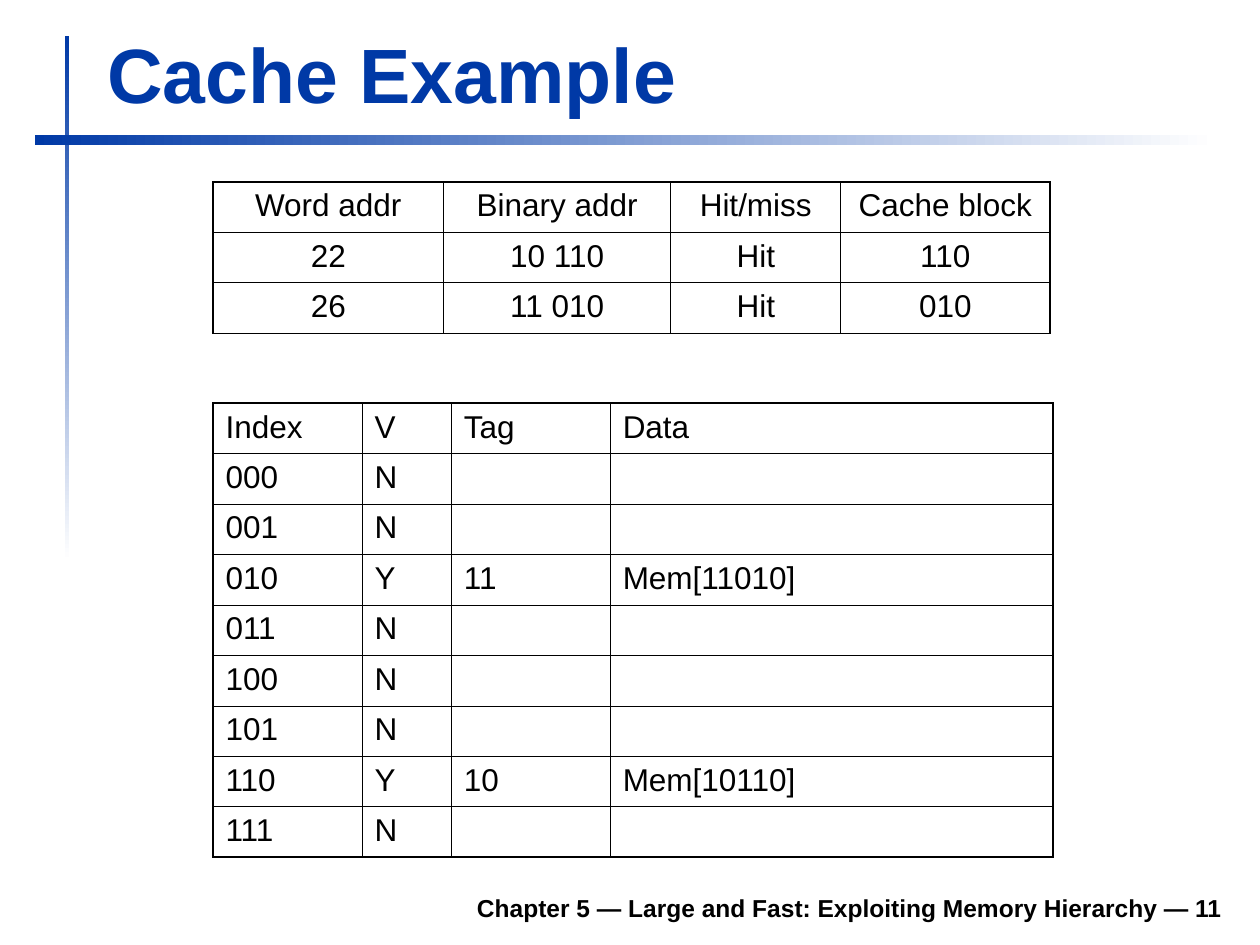
from dataclasses import dataclass

from lxml.etree import SubElement
from pptx import Presentation
from pptx.dml.color import RGBColor
from pptx.enum.shapes import MSO_SHAPE as Preset
from pptx.enum.text import MSO_ANCHOR as Anchor, MSO_AUTO_SIZE as AutoSize, PP_ALIGN as Align
from pptx.oxml.ns import qn
from pptx.slide import Slide
from pptx.util import Pt


def rgb(value):
    """Turn a hex string into a colour."""
    return RGBColor.from_string(value)


def write(frame, text, size=18, color="000000", bold=False, align=Align.LEFT,
          font="Arial", anchor=Anchor.TOP):
    """Put one formatted paragraph into a text frame."""
    frame.word_wrap = True
    frame.vertical_anchor = anchor
    paragraph = frame.paragraphs[0]
    paragraph.alignment = align
    run = paragraph.add_run()
    run.text = text
    run.font.name, run.font.size, run.font.bold = font, Pt(size), bold
    run.font.color.rgb = rgb(color)


def set_borders(cell, color, widths):
    """Draw the cell's edges with a width in points for each side."""
    properties = cell._tc.get_or_add_tcPr()
    for position, (side, width) in enumerate(zip("LRTB", widths)):
        edge = SubElement(properties, qn(f"a:ln{side}"), w=str(Pt(width)))
        fill = SubElement(edge, qn("a:solidFill"))
        SubElement(fill, qn("a:srgbClr"), val=color)
        properties.insert(position, edge)


@dataclass
class Deck:
    """Holds the style and the current slide."""
    slide: Slide
    accent: str = "0039A6"
    ink: str = "000000"
    paper: str = "FFFFFF"
    outer: float = 1.08
    inner: float = 0.45
    row_height: float = 28.8

    def title(self, text, left, top, width, height):
        """Place and format the title placeholder."""
        heading = self.slide.shapes.title
        heading.left, heading.top = Pt(left), Pt(top)
        heading.width, heading.height = Pt(width), Pt(height)
        write(heading.text_frame, text, size=44, color=self.accent, bold=True,
              anchor=Anchor.BOTTOM)
        heading.text_frame.auto_size = AutoSize.SHAPE_TO_FIT_TEXT

    def bar(self, left, top, width, height, angle=0):
        """Add a bar that fades from the accent to the paper."""
        strip = self.slide.shapes.add_shape(
            Preset.RECTANGLE, Pt(left), Pt(top), Pt(width), Pt(height))
        strip.shadow.inherit = False
        strip.line.fill.background()
        strip.fill.gradient()
        strip.fill.gradient_angle = angle
        for stop, color in zip(strip.fill.gradient_stops, (self.accent, self.paper)):
            stop.color.rgb = rgb(color)

    def footer(self, text, left, top, width, height):
        """Add the bold footer line, aligned right."""
        box = self.slide.shapes.add_textbox(Pt(left), Pt(top), Pt(width), Pt(height))
        write(box.text_frame, text, size=14, color=self.ink, bold=True,
              align=Align.RIGHT, anchor=Anchor.BOTTOM)

    def table(self, rows, left, top, widths, row_rule, align=Align.LEFT):
        """Add a ruled table without fills."""
        grid = self.slide.shapes.add_table(
            len(rows), len(widths), Pt(left), Pt(top),
            Pt(sum(widths)), Pt(self.row_height * len(rows))).table
        grid.first_row = grid.horz_banding = False
        for column, width in zip(grid.columns, widths):
            column.width = Pt(width)
        across = [self.outer, 0.75] + [row_rule] * (len(rows) - 2) + [self.outer]
        down = [self.outer] + [self.inner] * (len(widths) - 1) + [self.outer]
        for r, row in enumerate(rows):
            grid.rows[r].height = Pt(self.row_height)
            for c, text in enumerate(row):
                cell = grid.cell(r, c)
                cell.fill.background()
                set_borders(cell, self.ink, down[c:c + 2] + across[r:r + 2])
                if text:
                    write(cell.text_frame, text, color=self.ink, align=align)


def main():
    """Build the cache example slide."""
    presentation = Presentation()
    presentation.slide_width, presentation.slide_height = Pt(720), Pt(540)
    deck = Deck(presentation.slides.add_slide(presentation.slide_layouts[5]))

    deck.bar(36.9, 20.4, 2.6, 300, angle=270)
    deck.bar(19.75, 77.2, 675, 5.6)
    deck.footer("Chapter 5 — Large and Fast: Exploiting Memory Hierarchy — 11",
                133.2, 502.6, 572.4, 28)
    deck.title("Cache Example", 54, 11.6, 650, 59.8)

    cached = {"010": ("11", "Mem[11010]"), "110": ("10", "Mem[10110]")}
    blocks = [("Index", "V", "Tag", "Data")]
    for number in range(8):
        index = f"{number:03b}"
        blocks.append((index, "Y" if index in cached else "N",
                       *cached.get(index, ("", ""))))
    deck.table(blocks, 121.7, 230.4, (85.2, 51, 90.8, 253.2), row_rule=0.45)

    accesses = [("Word addr", "Binary addr", "Hit/miss", "Cache block"),
                ("22", "10 110", "Hit", "110"),
                ("26", "11 010", "Hit", "010")]
    deck.table(accesses, 121.7, 104, (131.8, 129.8, 97.2, 119.4),
               row_rule=0.75, align=Align.CENTER)

    presentation.save("out.pptx")


if __name__ == "__main__":
    main()
